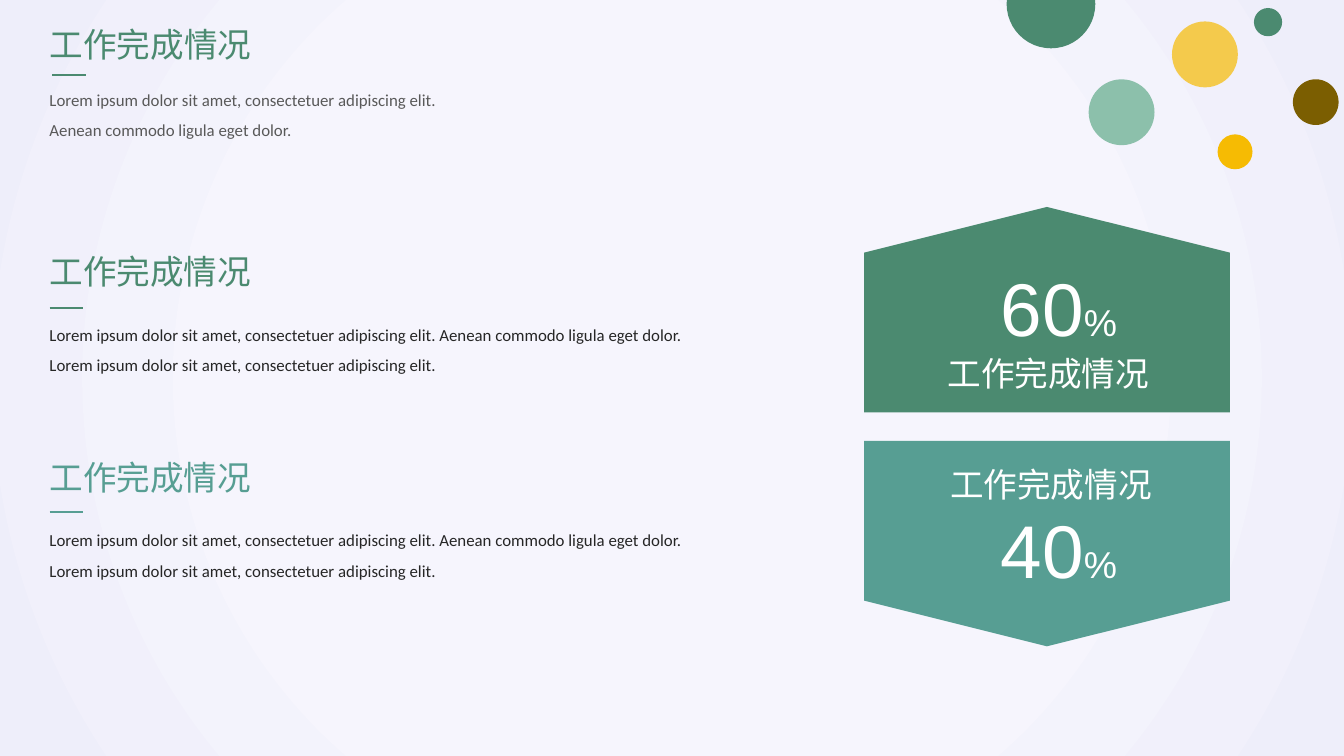
from lxml.etree import SubElement
from pptx import Presentation
from pptx.dml.color import RGBColor
from pptx.enum.shapes import MSO_CONNECTOR, MSO_SHAPE
from pptx.enum.text import MSO_ANCHOR, MSO_AUTO_SIZE, PP_ALIGN
from pptx.oxml import parse_xml
from pptx.oxml.ns import nsdecls, qn
from pptx.util import Inches, Pt

THEME = {
    "green": "4B8A70", "teal": "579E93", "mint": "8CC0AB",
    "amber": "F6BB03", "brown": "7B5E01", "white": "FFFFFF",
    "grey": "595959", "dark": "262626",
    "background": [(0, "F7F8FD"), (53, "F6F5FD"), (100, "EEEEFA")],
    "heading": ("Noto Sans CJK SC", 18), "body": ("Calibri", 9),
    "number": ("Arial", 40), "percent": ("Arial", 20),
}
HEADING = "工作完成情况"
SENTENCE = "Lorem ipsum dolor sit amet, consectetuer adipiscing elit."
INTRO = SENTENCE + " Aenean commodo ligula eget dolor."

presentation = Presentation()
presentation.slide_width = Inches(10)
presentation.slide_height = presentation.slide_width * 9 // 16
slide = presentation.slides.add_slide(presentation.slide_layouts[5])
shapes = slide.shapes
CELL = presentation.slide_width // 100  # square grid, 100 columns wide


def grid(*cells):
    return [round(cell * CELL) for cell in cells]


def write(shape, box, runs, color, align=PP_ALIGN.LEFT,
          anchor=MSO_ANCHOR.MIDDLE, spacing=None):
    """Place a text shape on the grid and add its (text, style) runs."""
    shape.left, shape.top, shape.width, shape.height = grid(*box)
    frame = shape.text_frame
    frame.word_wrap = True
    frame.auto_size = MSO_AUTO_SIZE.NONE
    frame.vertical_anchor = anchor
    paragraph = frame.paragraphs[0]
    paragraph.alignment = align
    if spacing:
        paragraph.line_spacing = spacing
    for text, style in runs:
        run = paragraph.add_run()
        run.text = text
        run.font.name, size = THEME[style]
        run.font.size = Pt(size)
        run.font.color.rgb = RGBColor.from_string(THEME[color])
        if style == "heading":
            latin = run.font._element.find(qn("a:latin"))
            east_asian = latin.makeelement(qn("a:ea"), {"typeface": run.font.name})
            latin.addnext(east_asian)


# Background: radial gradient from the centre
stops = "".join(
    f'<a:gs pos="{share * 1000}"><a:srgbClr val="{color}"/></a:gs>'
    for share, color in THEME["background"])
slide.background.fill.solid()
background = slide.element.find(".//" + qn("p:bgPr"))
background.replace(background[0], parse_xml(
    f'<a:gradFill {nsdecls("a")} rotWithShape="1"><a:gsLst>{stops}</a:gsLst>'
    '<a:path path="circle"><a:fillToRect l="50000" t="50000" r="50000" b="50000"/>'
    '</a:path></a:gradFill>'))

# Corner bubbles: left, top, diameter, colour, opacity in percent
for left, top, diameter, color, opacity in [
    (81, 5.9, 4.9, "mint", 100),
    (90.6, 10, 2.6, "amber", 100),
    (93.3, 0.6, 2.1, "green", 100),
    (87.2, 1.6, 4.9, "amber", 70),
    (74.9, -3, 6.6, "green", 100),
    (96.2, 5.9, 3.4, "brown", 100),
]:
    bubble = shapes.add_shape(MSO_SHAPE.OVAL, *grid(left, top, diameter, diameter))
    bubble.shadow.inherit = False
    bubble.line.fill.background()
    bubble.fill.solid()
    bubble.fill.fore_color.rgb = RGBColor.from_string(THEME[color])
    if opacity < 100:
        SubElement(bubble.element.spPr.find(".//" + qn("a:srgbClr")),
                   qn("a:alpha"), val=str(opacity * 1000))

# Text blocks: heading, short rule and body
for heading, top, color, rule_left, rule_top, body_top, body_width, body, body_color in [
    (shapes.title, 0.6, "green", 3.9, 5.6, 5.4, 33, INTRO, "grey"),
    (None, 17.5, "green", 3.7, 22.9, 22.9, 49.4, f"{INTRO} {SENTENCE}", "dark"),
    (None, 32.8, "teal", 3.7, 38.1, 38.2, 49.4, f"{INTRO} {SENTENCE}", "dark"),
]:
    write(heading or shapes.add_textbox(0, 0, 0, 0), (2.7, top, 20, 5.4),
          [(HEADING, "heading")], color)
    rule = shapes.add_connector(
        MSO_CONNECTOR.STRAIGHT, *grid(rule_left, rule_top, rule_left + 2.5, rule_top))
    rule.line.color.rgb = RGBColor.from_string(THEME[color])
    rule.line.width = Pt(1)
    SubElement(rule.element.spPr, qn("a:effectLst"))
    write(shapes.add_textbox(0, 0, 0, 0), (2.7, body_top, body_width, 5.4),
          [(body, "body")], body_color, anchor=MSO_ANCHOR.TOP, spacing=1.5)

# Pointed panels: peak, shoulder and flat edge, then their labels
LEFT, RIGHT = 64.3, 91.5
for peak, shoulder, flat, color, number, number_top, label_left, label_top in [
    (15.4, 18.8, 30.7, "green", "60", 20.1, 68.2, 25.1),
    (48.1, 44.7, 32.8, "teal", "40", 38.1, 68.4, 33.3),
]:
    outline = shapes.build_freeform(*grid(RIGHT, shoulder))
    outline.add_line_segments([
        grid(*point) for point in [((LEFT + RIGHT) / 2, peak), (LEFT, shoulder),
                                   (LEFT, flat), (RIGHT, flat)]], close=True)
    panel = outline.convert_to_shape()
    panel.shadow.inherit = False
    panel.line.fill.background()
    panel.fill.solid()
    panel.fill.fore_color.rgb = RGBColor.from_string(THEME[color])
    write(shapes.add_textbox(0, 0, 0, 0), (73.1, number_top, 11.4, 5.4),
          [(number, "number"), ("%", "percent")], "white", PP_ALIGN.CENTER)
    write(shapes.add_textbox(0, 0, 0, 0), (label_left, label_top, 19.6, 5.4),
          [(HEADING, "heading")], "white", PP_ALIGN.CENTER)

presentation.save("out.pptx")
